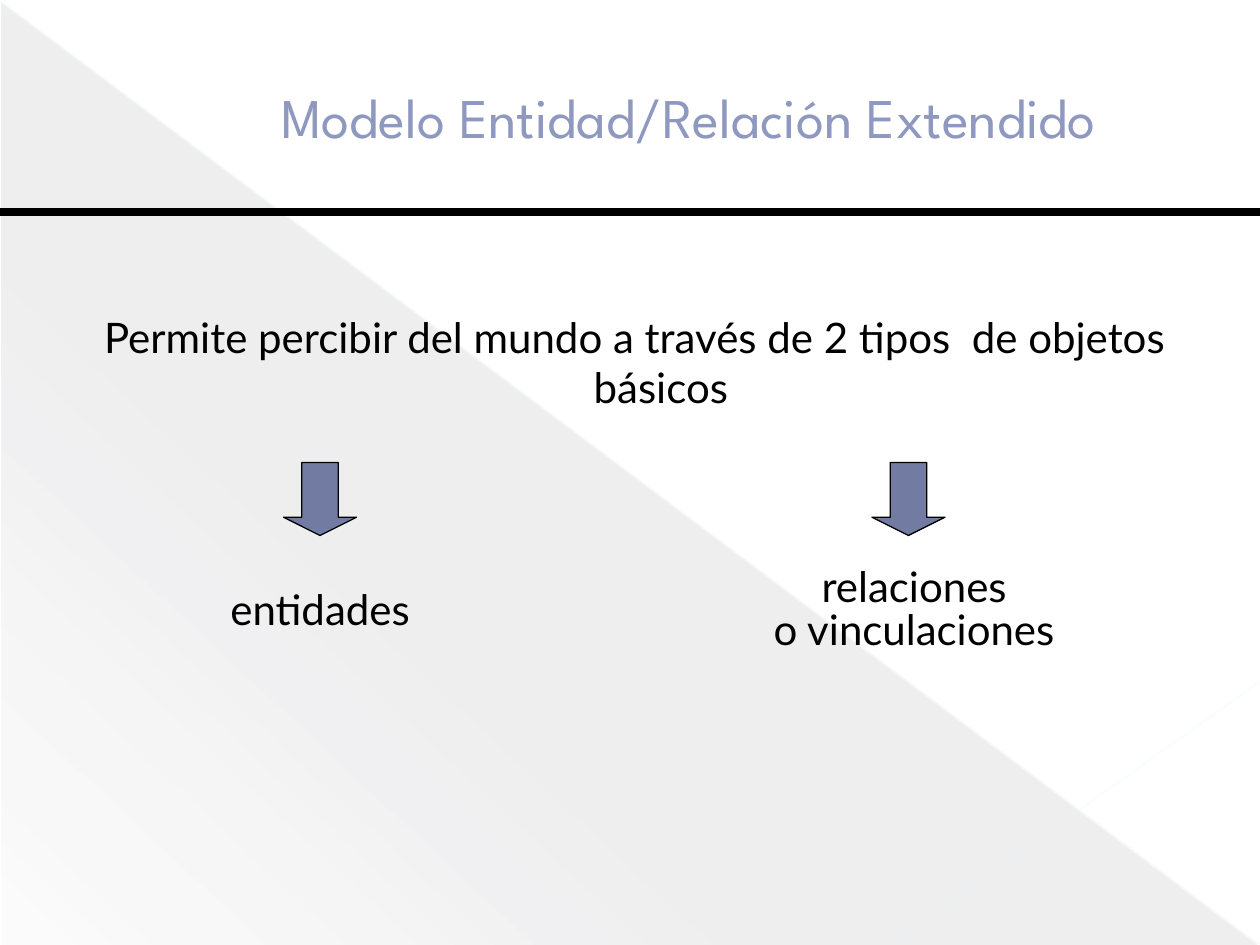
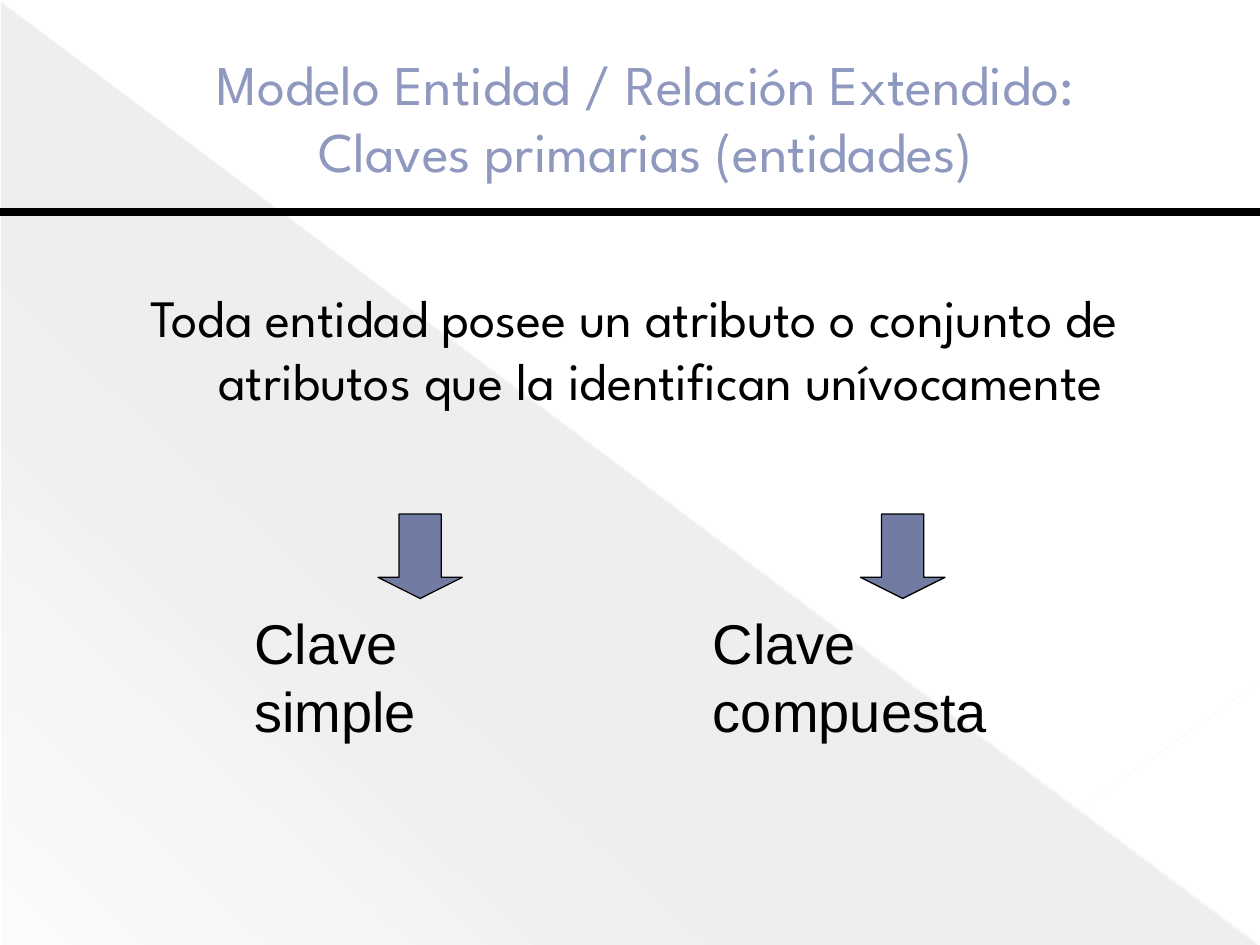
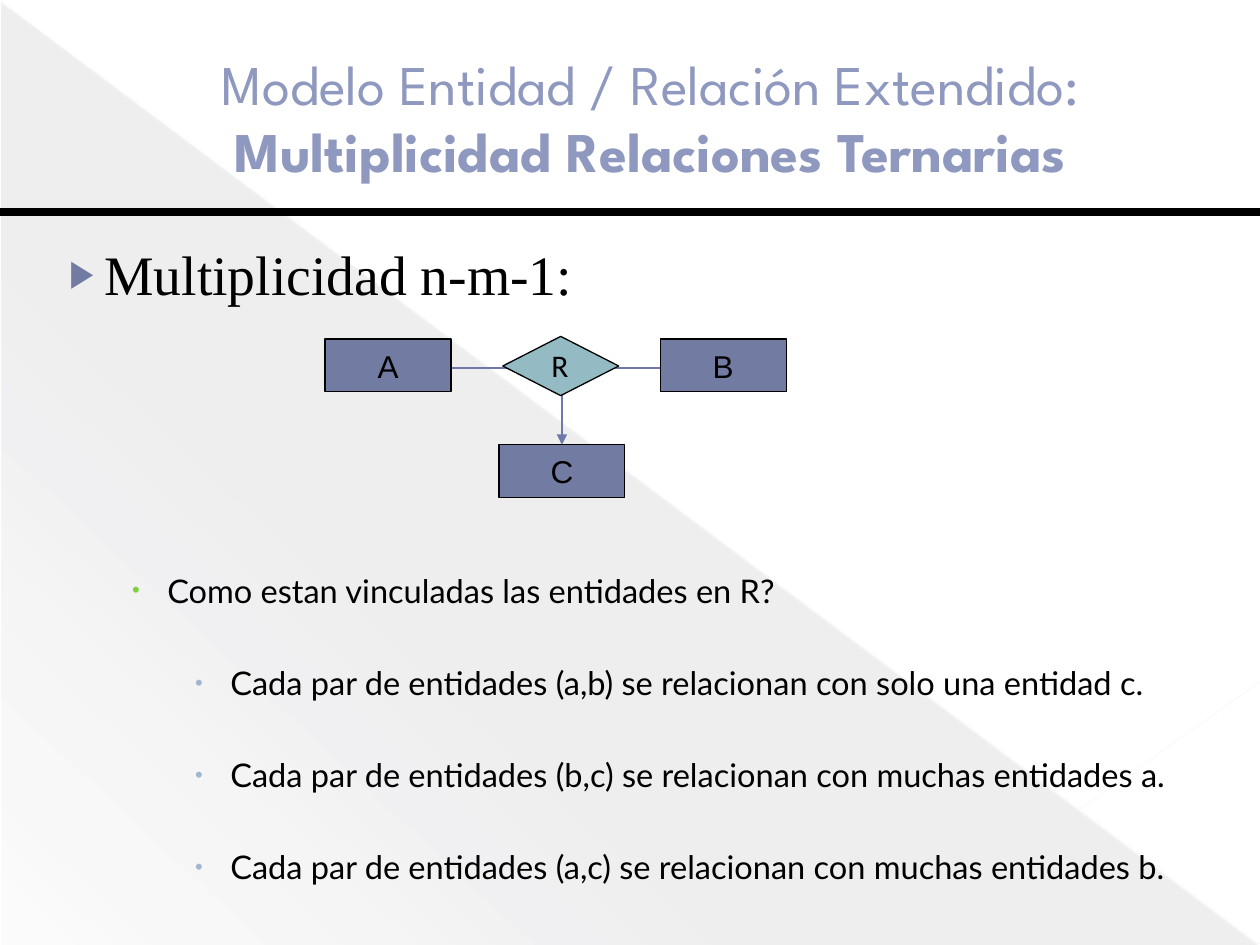
from dataclasses import dataclass

from lxml import etree
from pptx import Presentation
from pptx.dml.color import RGBColor as Rgb
from pptx.enum.shapes import MSO_CONNECTOR as Link, MSO_SHAPE as Kind
from pptx.enum.text import MSO_ANCHOR as Anchor, PP_ALIGN as Align
from pptx.oxml.ns import qn
from pptx.util import Inches, Pt


@dataclass(frozen=True)
class Theme:
    ink: str = "000000"
    title: str = "8F98BF"
    edge: str = "4F5671"
    box: str = "727CA3"
    gem: str = "94BAC3"
    link: str = "6D79A8"
    shade: str = "464653"
    rays: tuple = ("E9F6F9", "EBF6F9")
    dots: tuple = ("727CA3", "7FD13B", "9FB8CD")
    head: str = "League Spartan"
    body: str = "Lato"
    sans: str = "Arial"
    serif: str = "Times New Roman"
    mark: str = "Calibri"
    big: float = 32
    lead: float = 30
    text: float = 24
    item: float = 18.6
    tag: float = 18
    topic: float = 31.8


def node(parent, tag, **attrs):
    return etree.SubElement(parent, qn(tag), {k: str(v) for k, v in attrs.items()})


def tint(parent, color, alpha):
    """Add a colour with an opacity in percent."""
    node(node(parent, "a:srgbClr", val=color), "a:alpha", val=alpha * 1000)


def indent(para, left, first):
    props = para._p.get_or_add_pPr()
    props.set("marL", str(Inches(left)))
    props.set("indent", str(Inches(first)))
    return props


class Deck:
    def __init__(self, theme):
        self.theme = theme
        self.prs = Presentation()
        self.prs.slide_width = Inches(10)
        self.prs.slide_height = Inches(7.5)

    def start(self):
        """Open a slide with its shaded corner, rays and rule."""
        look = self.theme
        self.slide = self.prs.slides.add_slide(self.prs.slide_layouts[6])
        self.shapes = self.slide.shapes
        self.slide.background.fill.solid()
        self.slide.background.fill.fore_color.rgb = Rgb.from_string("FFFFFF")
        self.wedge()
        self.line((0, 0.01), (9.99, 7.49), look.rays[0], 0.39, alpha=35)
        self.line((10, 5.41), (7.07, 7.49), look.rays[1], 0.47, alpha=45)
        self.line((0, 1.68), (10, 1.68), look.ink, 4.5)

    def wedge(self):
        shape = self.shape(Kind.RIGHT_TRIANGLE, (0.01, 0.02, 9.98, 7.48))
        grad = etree.Element(qn("a:gradFill"), rotWithShape="1")
        stops = node(grad, "a:gsLst")
        for pos, alpha in ((0, 10), (70, 8), (100, 1)):
            tint(node(stops, "a:gs", pos=pos * 1000), self.theme.shade, alpha)
        node(grad, "a:lin", ang=133 * 60000, scaled=0)
        props = shape._element.spPr
        props.replace(props.find(qn("a:noFill")), grad)

    def line(self, start, end, color, width, alpha=None, arrow=False):
        ends = [Inches(v) for v in (*start, *end)]
        wire = self.shapes.add_connector(Link.STRAIGHT, *ends)
        wire.line.color.rgb = Rgb.from_string(color)
        wire.line.width = Pt(width)
        stroke = wire.line._get_or_add_ln()
        if alpha:
            fill = stroke.find(qn("a:solidFill"))
            fill.clear()
            tint(fill, color, alpha)
        if arrow:
            node(stroke, "a:tailEnd", type="triangle")
        node(wire._element.spPr, "a:effectLst")

    def shape(self, kind, at, fill=None, edge=False):
        shape = self.shapes.add_shape(kind, *map(Inches, at))
        shape.shadow.inherit = False
        if fill:
            shape.fill.solid()
            shape.fill.fore_color.rgb = Rgb.from_string(fill)
        else:
            shape.fill.background()
        if edge:
            shape.line.color.rgb = Rgb.from_string(self.theme.ink)
            shape.line.width = Pt(0.75)
        else:
            shape.line.fill.background()
        return shape

    def arrow(self, left, top, size):
        shape = self.shape(Kind.DOWN_ARROW, (left, top, size, size), self.theme.box, True)
        shape.adjustments[0], shape.adjustments[1] = 0.5, 0.25

    def style(self, para, font, size, color=None, align=None):
        para.alignment = align
        for run in para.runs:
            run.font.name = font
            run.font.size = Pt(size)
            run.font.color.rgb = Rgb.from_string(color or self.theme.ink)

    def text(self, at, text, font, size, color=None, align=Align.CENTER, gap=None):
        box = self.shapes.add_textbox(*map(Inches, at))
        frame = box.text_frame
        frame.word_wrap = True
        frame.text = text
        for para in frame.paragraphs:
            self.style(para, font, size, color, align)
            if gap:
                para.line_spacing = gap
        return frame

    def title(self, text, left, width=9.75):
        look = self.theme
        frame = self.text((left, 0.3, width, 1.25), text, look.head, look.big, look.title)
        frame.vertical_anchor = Anchor.MIDDLE
        para = frame.paragraphs[0]
        for run in para.runs:
            edge = etree.Element(qn("a:ln"), w=str(Pt(0.5)))
            node(node(edge, "a:solidFill"), "a:srgbClr", val=look.edge)
            run.font._element.insert(0, edge)
        return para

    def lead(self, at, text, font, size):
        """Add a centred statement with a hanging first line."""
        frame = self.text(at, text, font, size)
        indent(frame.paragraphs[0], 0.49, -0.42)

    def label(self, shape, text, font):
        frame = shape.text_frame
        frame.text = text
        self.style(frame.paragraphs[0], font, self.theme.tag, align=Align.CENTER)
        return frame

    def entity(self, left, top, name):
        shape = self.shape(Kind.RECTANGLE, (left, top, 1, 0.42), self.theme.box, True)
        frame = self.label(shape, name, self.theme.sans)
        frame.word_wrap = False
        frame.vertical_anchor = Anchor.MIDDLE

    def relation(self, name):
        look = self.theme
        self.shape(Kind.DIAMOND, (3.99, 2.67, 0.92, 0.47), look.gem, True)
        plate = self.shape(Kind.RECTANGLE, (4.31, 2.75, 0.27, 0.3), look.gem)
        frame = self.label(plate, name, look.mark)
        frame.margin_left = frame.margin_right = 0
        frame.margin_top = frame.margin_bottom = 0
        frame.vertical_anchor = Anchor.TOP

    def bullets(self, at, inset, items):
        """Add items given as (level, space before, text)."""
        look = self.theme
        frame = self.text(at, "\n".join(i[2] for i in items), look.body, look.item, align=Align.LEFT)
        frame.margin_top = Inches(inset)
        for para, (level, gap, _) in zip(frame.paragraphs, items):
            para.level = level
            para.space_before = Pt(gap)
            if level == 0:
                self.style(para, look.serif, look.topic, align=Align.LEFT)
                para.line_spacing = 0.8
            props = indent(para, 0.4 + 0.5 * level, -0.28)
            node(node(props, "a:buClr"), "a:srgbClr", val=look.dots[level])
            node(props, "a:buSzPct", val=68000)
            node(props, "a:buFont", typeface=look.sans)
            node(props, "a:buChar", char="•" if level else "▶")


def model(deck):
    look = deck.theme
    deck.start()
    para = deck.title("Modelo Entidad/Relación Extendido", 0.33)
    indent(para, 0.53, 0)
    deck.lead((0.5, 2.42, 9, 4.25),
              "Permite percibir del mundo a través de 2 tipos  de objetos básicos",
              look.body, look.text)
    deck.text((1.25, 4.58, 2.58, 0.5), "entidades", look.body, look.text)
    deck.text((5.67, 4.46, 3.17, 0.79), "relaciones\no vinculaciones",
              look.body, look.text, gap=0.85)
    for left in (2.25, 6.92):
        deck.arrow(left, 3.67, 0.58)


def keys(deck):
    look = deck.theme
    deck.start()
    deck.lead((0.5, 2.21, 9, 1.96),
              "Toda entidad posee un atributo o conjunto de atributos que la identifican unívocamente",
              look.head, look.lead)
    deck.title("Modelo Entidad / Relación Extendido:\vClaves primarias (entidades)", 0.25)
    for left, width, name, tip in ((1.92, 2.69, "simple", 3), (5.56, 3.58, "compuesta", 6.83)):
        deck.text((left, 4.77, width, 0.63), f"Clave\v{name}", look.sans, look.big,
                  align=Align.LEFT, gap=Pt(39))
        deck.arrow(tip, 4.08, 0.67)


def ternary(deck):
    look = deck.theme
    deck.start()
    para = deck.title("Modelo Entidad / Relación Extendido:\vMultiplicidad Relaciones Ternarias",
                      0.33, 9.67)
    para.runs[1].font.bold = True
    deck.line((4.46, 3.09), (4.46, 3.53), look.link, 0.75, arrow=True)
    deck.line((3.58, 2.92), (5.24, 2.92), look.link, 0.75)
    deck.relation("R")
    for left, top, name in ((2.58, 2.69, "A"), (5.24, 2.69, "B"), (3.96, 3.53, "C")):
        deck.entity(left, top, name)
    pairs = (("a,b", "solo una entidad c"), ("b,c", "muchas entidades a"),
             ("a,c", "muchas entidades b"))
    deck.bullets((0.33, 1.5, 9.5, 5.25), 0.51, [
        (0, 0, "Multiplicidad n-m-1:"),
        (1, 151, "Como estan vinculadas las entidades en R?"),
        *((2, 30.3, f"Cada par de entidades ({pair}) se relacionan con {many}.")
          for pair, many in pairs),
    ])


def main():
    deck = Deck(Theme())
    for build in (model, keys, ternary):
        build(deck)
    deck.prs.save("out.pptx")


if __name__ == "__main__":
    main()
